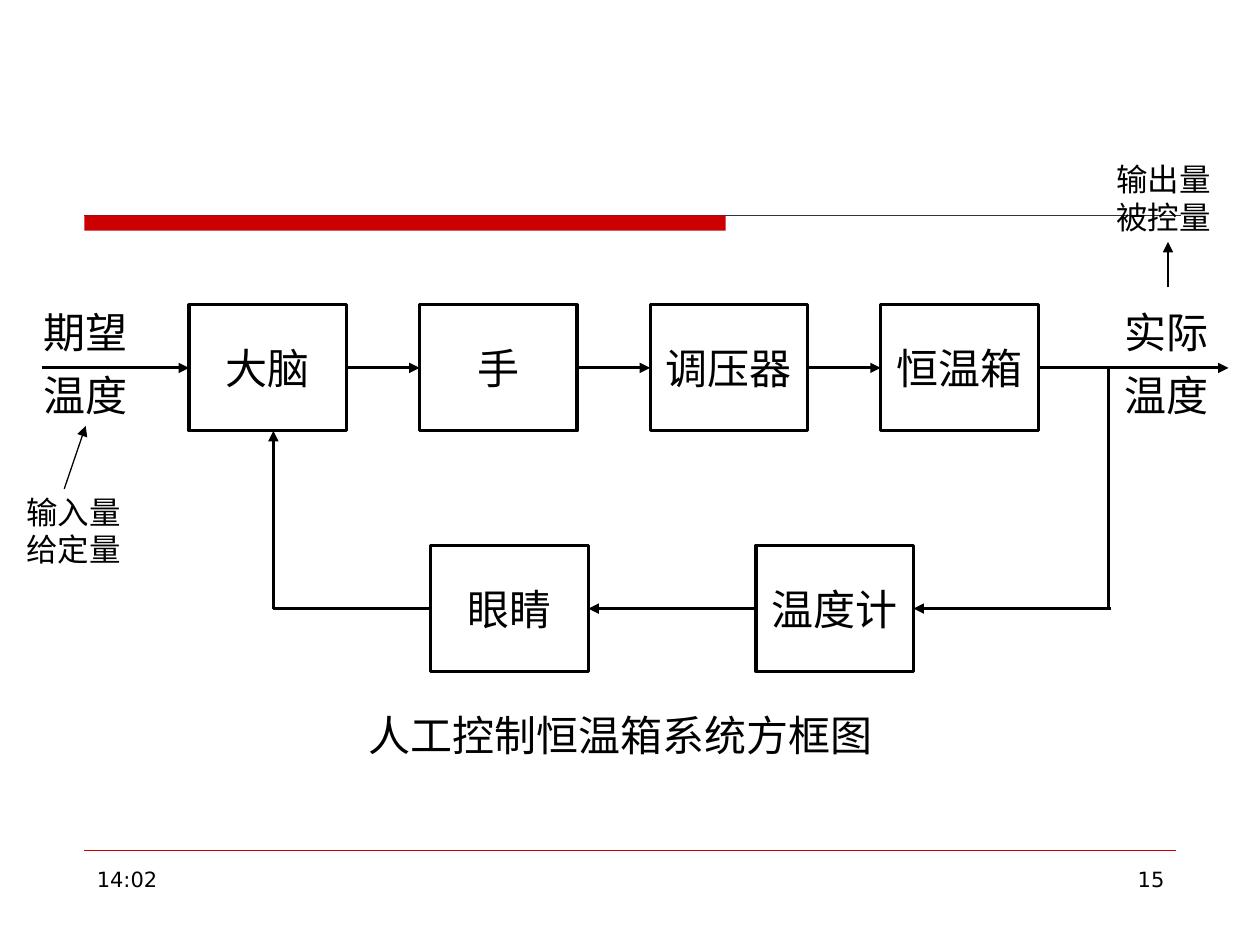
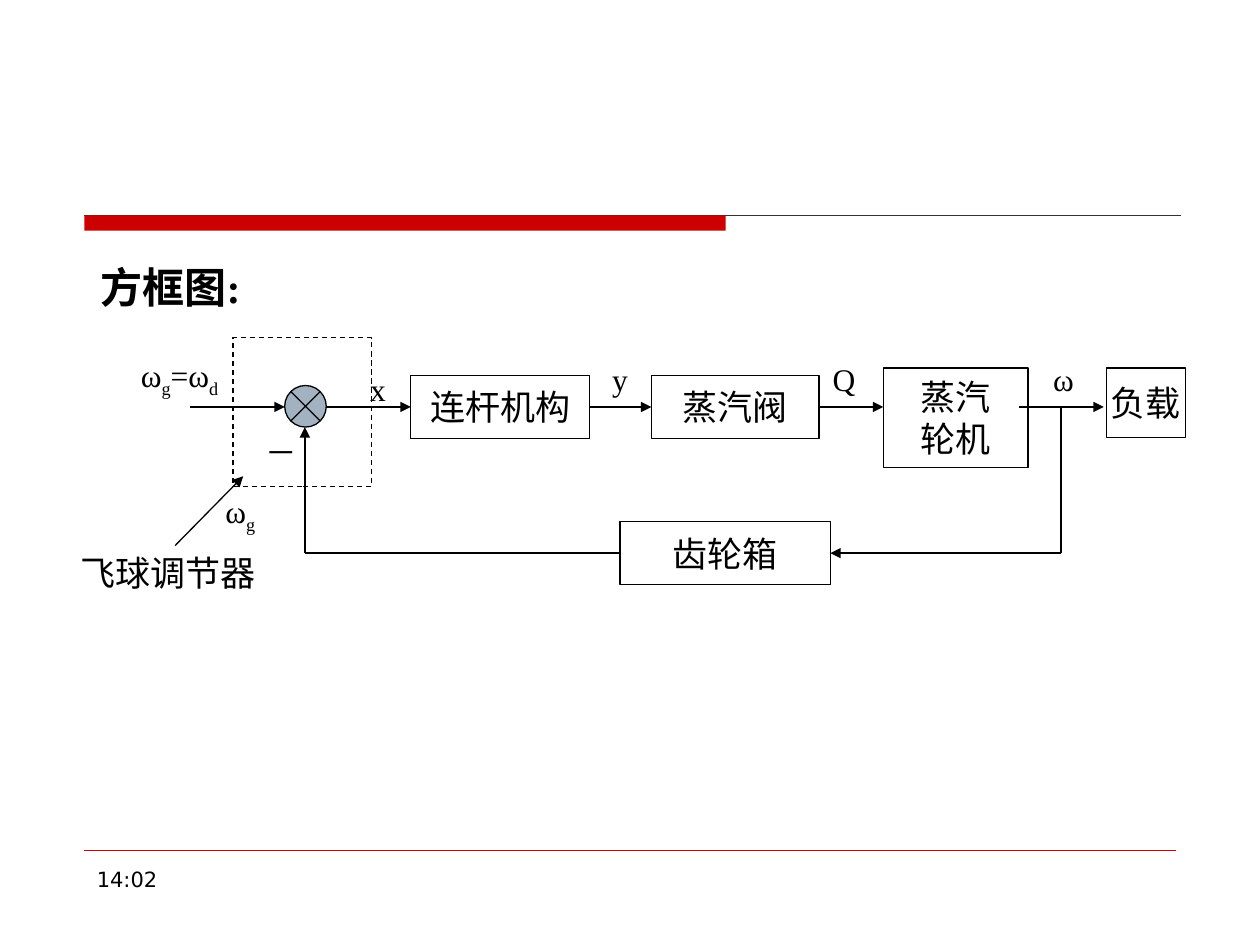
"""Build two block diagrams of feedback control systems."""
import dataclasses
import typing

import lxml.etree
import pptx
import pptx.dml.color
import pptx.enum.dml
import pptx.enum.shapes
import pptx.enum.text
import pptx.oxml.ns
import pptx.util

Inches = pptx.util.Inches
Pt = pptx.util.Pt
Preset = pptx.enum.shapes.MSO_SHAPE
Align = pptx.enum.text.PP_ALIGN

COLOURS = {"ink": "000000", "accent": "CC0000", "rule": "333333", "junction": "A3B2C1"}
SERIF = "Times New Roman"
SANS = "DejaVu Sans"
TOP, LEFT, BOTTOM, RIGHT = range(4)


@dataclasses.dataclass
class Block:
    text: str
    left: float
    top: float
    width: float
    height: float


@dataclasses.dataclass
class Label:
    """Text whose pieces between bars alternate between normal and subscript."""

    text: str
    left: float
    top: float
    width: float
    height: float
    size: float = 18
    font: str = SERIF
    bold: bool = False
    wrap: bool = False
    spacing: float = 1.0
    align: typing.Any = Align.LEFT
    grow: bool = True


class Port(typing.NamedTuple):
    block: str
    side: int


class Point(typing.NamedTuple):
    x: float
    y: float


@dataclasses.dataclass
class Arrow:
    start: Port | Point
    end: Port | Point
    head: bool = True


def colour(name: str) -> pptx.dml.color.RGBColor:
    return pptx.dml.color.RGBColor.from_string(COLOURS[name])


def style_font(font: typing.Any, face: str, size: float, bold: bool = False) -> None:
    font.name = face
    font.size = Pt(size)
    font.bold = bold
    font.color.rgb = colour("ink")


def draw_shape(page: typing.Any, preset: typing.Any, left: float, top: float, width: float,
               height: float, weight: float = 0.75, fill: str | None = None) -> typing.Any:
    """Draw an outlined preset shape, or an unlined one when weight is zero."""
    shape = page.shapes.add_shape(preset, Inches(left), Inches(top), Inches(width), Inches(height))
    shape.shadow.inherit = False
    if fill:
        shape.fill.solid()
        shape.fill.fore_color.rgb = colour(fill)
    else:
        shape.fill.background()
    if weight:
        shape.line.color.rgb = colour("ink")
        shape.line.width = Pt(weight)
    else:
        shape.line.fill.background()
    return shape


def draw_block(page: typing.Any, block: Block, size: float, weight: float) -> typing.Any:
    box = draw_shape(page, Preset.RECTANGLE, block.left, block.top, block.width, block.height, weight)
    frame = box.text_frame
    frame.text = block.text
    frame.word_wrap = False
    frame.vertical_anchor = pptx.enum.text.MSO_ANCHOR.MIDDLE
    for para in frame.paragraphs:
        para.alignment = Align.CENTER
        style_font(para.runs[0].font, SERIF, size)
    return box


def draw_label(page: typing.Any, label: Label) -> None:
    box = page.shapes.add_textbox(Inches(label.left), Inches(label.top),
                                  Inches(label.width), Inches(label.height))
    frame = box.text_frame
    frame.word_wrap = label.wrap
    if label.grow:
        frame.auto_size = pptx.enum.text.MSO_AUTO_SIZE.SHAPE_TO_FIT_TEXT
    for number, line in enumerate(label.text.split("\n")):
        para = frame.add_paragraph() if number else frame.paragraphs[0]
        para.alignment = label.align
        para.line_spacing = label.spacing
        for index, piece in enumerate(line.split("|")):
            if piece:
                span = para.add_run()
                span.text = piece
                style_font(span.font, label.font, label.size, label.bold)
                if index % 2:
                    span.font._element.set("baseline", "-25000")


def draw_line(page: typing.Any, start: Point, end: Point, weight: float, ink: str = "ink") -> typing.Any:
    line = page.shapes.add_connector(pptx.enum.shapes.MSO_CONNECTOR.STRAIGHT,
                                     Inches(start.x), Inches(start.y), Inches(end.x), Inches(end.y))
    line.line.color.rgb = colour(ink)
    line.line.width = Pt(weight)
    lxml.etree.SubElement(line._element.spPr, pptx.oxml.ns.qn("a:effectLst"))
    return line


def draw_arrow(page: typing.Any, arrow: Arrow, boxes: dict[str, typing.Any], weight: float) -> None:
    """Draw an arrow, joining each end that names a block side."""
    origin = Point(0, 0)
    start = arrow.start if isinstance(arrow.start, Point) else origin
    end = arrow.end if isinstance(arrow.end, Point) else origin
    line = draw_line(page, start, end, weight)
    if isinstance(arrow.start, Port):
        line.begin_connect(boxes[arrow.start.block], arrow.start.side)
    if isinstance(arrow.end, Port):
        line.end_connect(boxes[arrow.end.block], arrow.end.side)
    if arrow.head:
        outline = line._element.spPr.find(pptx.oxml.ns.qn("a:ln"))
        lxml.etree.SubElement(outline, pptx.oxml.ns.qn("a:tailEnd"), type="triangle")


def draw_diagram(page: typing.Any, blocks: list[Block], arrows: list[Arrow], labels: list[Label],
                 size: float, weight: float) -> None:
    boxes = {block.text: draw_block(page, block, size, weight) for block in blocks}
    for arrow in arrows:
        draw_arrow(page, arrow, boxes, weight)
    for label in labels:
        draw_label(page, label)


def add_page(deck: typing.Any, number: str = "") -> typing.Any:
    """Add a page with the shared band, footer rule, time and page number."""
    page = deck.slides.add_slide(deck.slide_layouts[6])
    draw_line(page, Point(0.67, 1.71), Point(9.37, 1.71), 0.75, "rule")
    draw_shape(page, Preset.RECTANGLE, 0.67, 1.71, 5.09, 0.12, 0, "accent")
    draw_line(page, Point(0.67, 6.75), Point(9.33, 6.75), 0.25, "accent")
    footer = {"top": 6.83, "width": 2.17, "height": 0.52, "size": 12, "font": SANS,
              "wrap": True, "grow": False}
    draw_label(page, Label("14:02", left=0.67, **footer))
    if number:
        draw_label(page, Label(number, left=7.17, align=Align.RIGHT, **footer))
    return page


def build_thermostat(deck: typing.Any) -> None:
    page = add_page(deck, "15")
    chain = ["大脑", "手", "调压器", "恒温箱"]
    blocks = [Block(name, 1.5 + 1.83 * index, 2.42, 1.25, 1) for index, name in enumerate(chain)]
    blocks += [Block("眼睛", 3.42, 4.33, 1.25, 1), Block("温度计", 6, 4.33, 1.25, 1)]
    arrows = [Arrow(Port(source, RIGHT), Port(target, LEFT)) for source, target in zip(chain, chain[1:])]
    arrows += [
        Arrow(Point(0.33, 2.92), Port("大脑", LEFT)),
        Arrow(Port("恒温箱", RIGHT), Point(9.75, 2.92)),
        Arrow(Point(8.8, 2.92), Point(8.8, 4.83), head=False),
        Arrow(Point(8.82, 4.83), Port("温度计", RIGHT)),
        Arrow(Port("温度计", LEFT), Port("眼睛", RIGHT)),
        Arrow(Port("眼睛", LEFT), Point(2.17, 4.83), head=False),
        Arrow(Point(2.17, 4.83), Point(2.17, 3.42)),
    ]
    labels = [
        Label("实际\n温度", 8.83, 2.28, 0.87, 1.1, 24, spacing=1.25),
        Label("期望\n温度", 0.25, 2.28, 0.87, 1.1, 24, spacing=1.25),
        Label("人工控制恒温箱系统方框图", 2.83, 5.58, 4.24, 0.51, 24),
        Label("输入量给定量", 0.11, 3.86, 1.02, 0.71, font=SANS, wrap=True),
        Label("输出量被控量", 8.76, 1.22, 1.02, 0.71, font=SANS, wrap=True),
    ]
    draw_diagram(page, blocks, arrows, labels, size=24, weight=1.75)
    for pointer in (Arrow(Point(0.51, 3.88), Point(0.68, 3.38)),
                    Arrow(Point(9.27, 2.28), Point(9.27, 1.92))):
        draw_arrow(page, pointer, {}, 0.75)


def build_turbine(deck: typing.Any) -> None:
    page = add_page(deck)
    axis, feedback = 3.23, 4.39
    draw_shape(page, Preset.FLOWCHART_SUMMING_JUNCTION, 2.26, 3.06, 0.33, 0.33, fill="junction")
    governor = draw_shape(page, Preset.RECTANGLE, 1.85, 2.68, 1.1, 1.18)
    governor.line.dash_style = pptx.enum.dml.MSO_LINE.DASH
    blocks = [
        Block("连杆机构", 3.26, 2.98, 1.42, 0.5),
        Block("蒸汽阀", 5.17, 2.98, 1.33, 0.5),
        Block("蒸汽\n轮机", 7.01, 2.92, 1.15, 0.79),
        Block("齿轮箱", 4.92, 4.14, 1.67, 0.5),
        Block("负载", 8.78, 2.92, 0.63, 0.55),
    ]
    arrows = [
        Arrow(Point(1.51, axis), Point(2.26, axis)),
        Arrow(Point(2.59, axis), Port("连杆机构", LEFT)),
        Arrow(Port("连杆机构", RIGHT), Port("蒸汽阀", LEFT)),
        Arrow(Port("蒸汽阀", RIGHT), Point(7.01, axis)),
        Arrow(Point(8.09, axis), Point(8.76, axis)),
        Arrow(Point(8.42, axis), Point(8.42, feedback), head=False),
        Arrow(Point(8.42, feedback), Port("齿轮箱", RIGHT)),
        Arrow(Port("齿轮箱", LEFT), Point(2.42, feedback), head=False),
        Arrow(Point(2.42, feedback), Point(2.42, 3.39)),
        Arrow(Point(1.39, 4.33), Point(1.93, 3.78)),
    ]
    labels = [
        Label("方框图:", 0.7, 2.03, 1.33, 0.51, 24, bold=True),
        Label("ω|g|=ω|d", 1.02, 2.78, 0.94, 0.4, wrap=True),
        Label("ω|g", 1.69, 3.86, 0.71, 0.43, wrap=True),
        Label("x", 2.84, 2.89, 0.34, 0.43),
        Label("y", 4.76, 2.81, 0.34, 0.43),
        Label("Q", 6.51, 2.81, 0.4, 0.43),
        Label("ω", 8.26, 2.81, 0.48, 0.43),
        Label("－", 2.01, 3.39, 0.48, 0.43),
        Label("飞球调节器", 0.54, 4.33, 1.6, 0.44, 20),
    ]
    draw_diagram(page, blocks, arrows, labels, size=20, weight=0.75)


def main() -> None:
    deck = pptx.Presentation()
    deck.slide_width, deck.slide_height = Inches(10), Inches(7.5)
    build_thermostat(deck)
    build_turbine(deck)
    deck.save("out.pptx")


if __name__ == "__main__":
    main()
